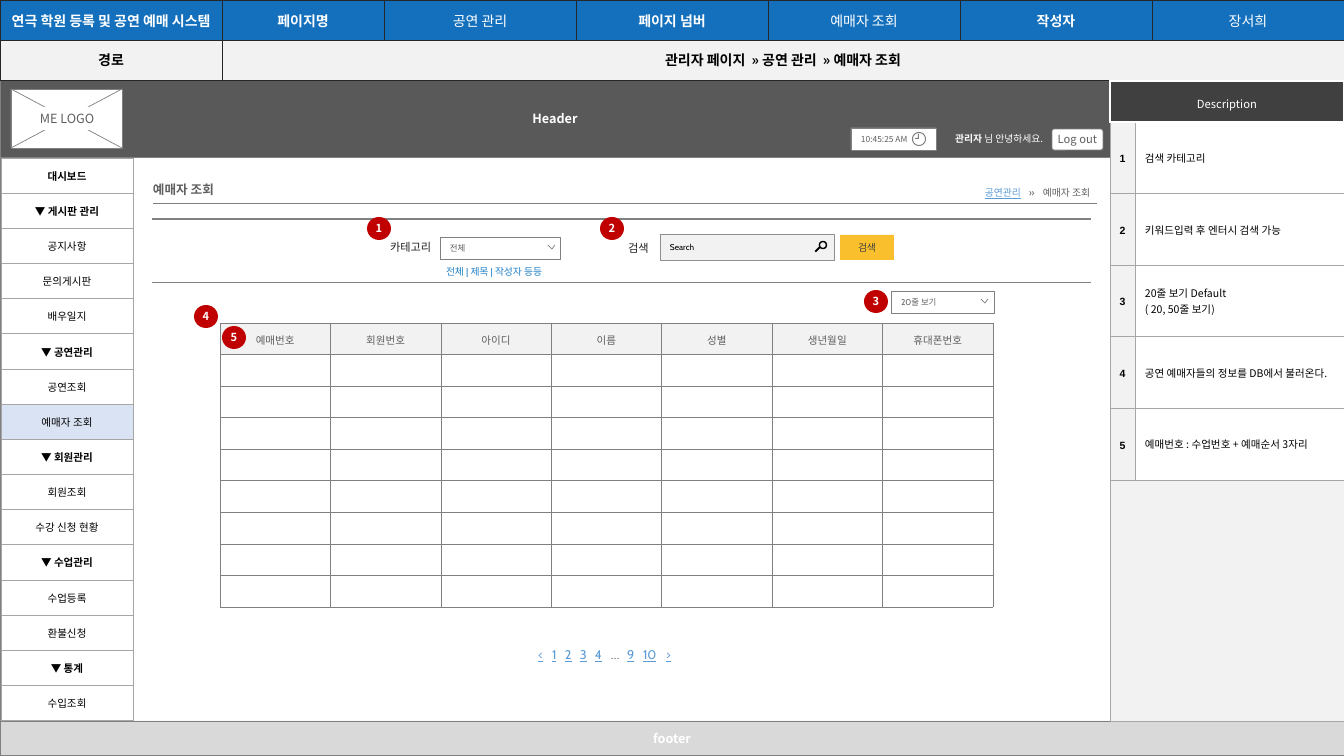
import math
import lxml.etree
import pptx
import pptx.dml.color
import pptx.enum.shapes
import pptx.enum.text
import pptx.oxml.ns
import pptx.util

PX = 914400 / 100.8
RGB = pptx.dml.color.RGBColor
WHITE, BLACK, PALE = RGB(255, 255, 255), RGB(0, 0, 0), RGB(0xF2, 0xF2, 0xF2)
GRAY, TEXT, EDGE = RGB(0x80, 0x80, 0x80), RGB(0x5F, 0x5F, 0x5F), RGB(0xA6, 0xA6, 0xA6)
DARK, COAL, INK = RGB(0x59, 0x59, 0x59), RGB(0x40, 0x40, 0x40), RGB(0x26, 0x26, 0x26)
BLUE, LINK, SKY = RGB(0x14, 0x70, 0xBC), RGB(0x5B, 0x9B, 0xD5), RGB(0, 0x70, 0xC0)
FOOT, FIELD, GOLD = RGB(0xD9, 0xD9, 0xD9), RGB(0x8F, 0x8F, 0x8F), RGB(0xF9, 0xBF, 0x2C)
RED, ACTIVE = RGB(0xC0, 0, 0), RGB(0xDA, 0xE3, 0xF3)
NOTO, CABIN = "Noto Sans CJK KR", "Cabin"
KIND = pptx.enum.shapes.MSO_SHAPE
ALIGN = pptx.enum.text.PP_ALIGN
LEFT, MID, RIGHT = ALIGN.LEFT, ALIGN.CENTER, ALIGN.RIGHT
ANCHOR = pptx.enum.text.MSO_ANCHOR
qn = pptx.oxml.ns.qn
Pt = pptx.util.Pt

deck = pptx.Presentation()
deck.slide_width, deck.slide_height = round(1344 * PX), round(756 * PX)
slide = deck.slides.add_slide(deck.slide_layouts[6])
shapes = slide.shapes


def write(para, text, size, tone, bold=False, face=NOTO, under=False):
    run = para.add_run()
    run.text = text
    font = run.font
    font.size, font.bold, font.underline, font.name = Pt(size), bold, under, face
    font.color.rgb = tone
    lxml.etree.SubElement(run._r.rPr, qn("a:ea"), typeface=NOTO)
    return run


def box(kind, x, y, w, h, fill=None, line=None, width=0.5, pad=(10, 5, 10, 5),
        align=MID, wrap=True, grow=False):
    area = [round(n * PX) for n in (x, y, w, h)]
    if kind is None:
        shape = shapes.add_textbox(*area)
    else:
        shape = shapes.add_shape(kind, *area)
        shape.shadow.inherit = False
        if fill is None:
            shape.fill.background()
        else:
            shape.fill.solid()
            shape.fill.fore_color.rgb = fill
        if line is None:
            shape.line.fill.background()
        else:
            shape.line.color.rgb, shape.line.width = line, Pt(width)
    frame = shape.text_frame
    frame.vertical_anchor = ANCHOR.TOP if kind is None else ANCHOR.MIDDLE
    frame.margin_left, frame.margin_top, frame.margin_right, frame.margin_bottom = [
        round(n * PX) for n in pad]
    frame.word_wrap = wrap
    if grow:
        frame.auto_size = pptx.enum.text.MSO_AUTO_SIZE.SHAPE_TO_FIT_TEXT
    frame.paragraphs[0].alignment = align
    return shape, frame.paragraphs[0]


# Header band and greeting
write(box(KIND.RECTANGLE, 0, 80, 1110, 77, DARK, GRAY, 0.25)[1], "Header", 9, WHITE, True)
hello = box(None, 942, 128, 111, 22, align=RIGHT, wrap=False, grow=True)[1]
write(hello, "관리자 ", 7, WHITE, True)
write(hello, "님 안녕하세요.", 7, WHITE)
exit_box, label = box(KIND.ROUNDED_RECTANGLE, 1052, 129, 51, 21, WHITE, GRAY,
                      pad=(5, 3, 5, 3), align=LEFT, wrap=False, grow=True)
exit_box.adjustments[0] = 0.11
write(label, "Log out", 8, TEXT)

# Logo frame, then its diagonals and the page rules
box(KIND.RECTANGLE, 11, 89, 111, 59, WHITE, GRAY)
for x1, y1, x2, y2, width in [
        (11, 148, 122, 89, 0.5), (122, 148, 11, 89, 0.5), (153, 203, 1097, 203, 0.5),
        (152, 219, 1091, 219, 1.5), (152, 282, 1091, 282, 0.5)]:
    rule = shapes.add_connector(pptx.enum.shapes.MSO_CONNECTOR.STRAIGHT,
                                *[round(n * PX) for n in (x1, y1, x2, y2)])
    rule.line.color.rgb, rule.line.width = GRAY, Pt(width)
    lxml.etree.SubElement(rule._element.spPr, qn("a:effectLst"))
write(box(KIND.RECTANGLE, 31, 107, 72, 23, WHITE, pad=(8, 4, 8, 4), wrap=False,
          grow=True)[1], "ME LOGO", 9, TEXT)

# Sidebar frame, title and footer
box(KIND.RECTANGLE, 0, 157, 132, 599, line=GRAY)
write(box(None, 153, 182, 68, 15, pad=(0, 0, 0, 0), align=LEFT, wrap=False,
          grow=True)[1], "예매자 조회", 9, TEXT, True, CABIN)
write(box(KIND.RECTANGLE, 0, 721, 1344, 34, FOOT, GRAY, 0.25)[1], "footer", 9, WHITE, True)

# Breadcrumb and pager, spaced by tab stops
crumbs = [("공연관리", True), ("»", False), ("예매자 조회", False)]
pages = [(t, t != "…") for t in ["<", "1", "2", "3", "4", "…", "9", "10", ">"]]
for x, y, w, h, size, stops, parts in [
        (977, 183, 140, 19, 7, [44, 58], crumbs),
        (530, 643, 178, 23, 9, [14, 27, 42, 57, 73, 89, 105, 128], pages)]:
    para = box(None, x, y, w, h, pad=(8, 4, 8, 4), align=LEFT)[1]
    tabs = lxml.etree.SubElement(para._p.get_or_add_pPr(), qn("a:tabLst"))
    for stop in stops:
        lxml.etree.SubElement(tabs, qn("a:tab"), pos=str(round(stop * PX)), algn="l")
    for i, (text, link) in enumerate(parts):
        if i:
            write(para, "\t", size, TEXT, face=CABIN)
        write(para, text, size, LINK if link else TEXT, face=CABIN, under=link)

# Search bar labels
for x, y, w, h, text, size, tone in [
        (382, 236, 61, 22, "카테고리", 8, BLACK), (620, 237, 39, 22, "검색", 8, BLACK),
        (438, 262, 126, 20, "전체 | 제목 | 작성자 등등", 7, SKY)]:
    run = write(box(None, x, y, w, h, pad=(8, 4, 8, 4), align=LEFT, wrap=False,
                    grow=True)[1], text, size, tone, face=CABIN)
    lxml.etree.SubElement(run._r.rPr.find(".//" + qn("a:srgbClr")), qn("a:alpha"), val="87000")

# Fields: clock, two drop-downs, search
for x, y, w, h, text, fill, line, width, tone, face, pad, grow in [
        (851, 128, 85, 22, "10:45:25 AM", WHITE, GRAY, 0.5, TEXT, NOTO, (10, 6, 25, 6), True),
        (440, 237, 120, 22, "전체", WHITE, GRAY, 0.5, TEXT, CABIN, (10, 6, 28, 6), True),
        (891, 291, 103, 22, "20줄 보기", WHITE, GRAY, 0.5, TEXT, CABIN, (10, 6, 28, 6), True),
        (660, 234, 174, 26, "Search", PALE, FIELD, 0.25, BLACK, CABIN, (10, 5, 25, 5), False)]:
    write(box(KIND.RECTANGLE, x, y, w, h, fill, line, width, pad, LEFT, grow=grow)[1],
          text, 6, tone, face=face)
write(box(KIND.RECTANGLE, 840, 235, 54, 25, GOLD, wrap=False)[1], "검색", 7, COAL, face=CABIN)

# Icons: clock face, magnifier, drop-down arrows
ring = [(math.cos(math.pi * i / 18), math.sin(math.pi * i / 18)) for i in range(36)]
face, hole = [[(919 + r * a, 139 + r * b) for a, b in ring] for r in (7, 6)]
lens, glass = [[(823 + r * a, 245 + r * b) for a, b in ring] for r in (4, 3)]
hands = [(918, 134), (918, 138), (915, 138), (915, 139), (919, 139), (919, 134)]
grip = [(815, 251), (819, 247), (820, 248), (816, 252)]
for loops, shut, fill, line, width in [
        ([face, hole[::-1], hands], True, GRAY, None, 0),
        ([lens, glass[::-1], grip], True, BLACK, BLACK, 0.25),
        ([[(548, 245), (552, 249), (555, 245)]], False, WHITE, GRAY, 0.5),
        ([[(981, 299), (985, 303), (988, 299)]], False, WHITE, GRAY, 0.5)]:
    loops = [[(a * PX, b * PX) for a, b in loop] for loop in loops]
    pen = shapes.build_freeform(*loops[0][0])
    for i, loop in enumerate(loops):
        if i:
            pen.move_to(*loop[0])
        pen.add_line_segments(loop[1:], close=shut)
    icon = pen.convert_to_shape()
    icon.shadow.inherit = False
    icon.fill.solid()
    icon.fill.fore_color.rgb = fill
    if line is None:
        icon.line.fill.background()
    else:
        icon.line.color.rgb, icon.line.width = line, Pt(width)

# Tables: each cell is (text, fill, tone, bold, face, align, side pad, spacing)
top = [[(t, BLUE, WHITE, i in (0, 1, 3, 5), NOTO, MID, 9, 1) for i, t in enumerate(
    ["연극 학원 등록 및 공연 예매 시스템", "페이지명", "공연 관리", "페이지 넘버",
     "예매자 조회", "작성자", "장서희"])],
    [(t, PALE, BLACK, True, NOTO, MID, 9, 1) for t in
     ["경로", "관리자 페이지  » 공연 관리  » 예매자 조회"] + [""] * 5]]
notes = [[(str(i) if t else "", PALE, BLACK, True, "Arial", MID, 0, 1.2),
          (t, WHITE if t else PALE, BLACK, False, NOTO, LEFT, 10, 1)] for i, t in enumerate(
    ["검색 카테고리", "키워드입력 후 엔터시 검색 가능", "20줄 보기 Default\n( 20, 50줄 보기)",
     "공연 예매자들의 정보를 DB에서 불러온다.", "예매번호 : 수업번호 + 예매순서 3자리", ""], 1)]
heads = ["예매번호", "회원번호", "아이디", "이름", "성별", "생년월일", "휴대폰번호"]
guests = [[(t, fill, TEXT, False, CABIN, MID, 9, 1) for t in row]
          for row, fill in [(heads, PALE)] + [([""] * 7, WHITE)] * 8]
menu = [[(t, ACTIVE if t == "예매자 조회" else WHITE, BLACK, t[0] == "▼" or t == "대시보드",
          NOTO, MID, 10, 1)] for t in
        ["대시보드", "▼ 게시판 관리", "공지사항", "문의게시판", "배우일지", "▼ 공연관리",
         "공연조회", "예매자 조회", "▼ 회원관리", "회원조회", "수강 신청 현황", "▼ 수업관리",
         "수업등록", "환불신청", "▼ 통계", "수입조회"]]
about = [[("Description", COAL, WHITE, False, NOTO, MID, 0, 1.2)]]
for x, y, wide, high, rows, size, edge, pad, span in [
        (1110, 122, [25, 209], [358 / 5] * 5 + [241], notes, 7.5, EDGE, 5, (5, 0, 5, 1)),
        (0, 0, [222, 162] + [192] * 5, [40] * 2, top, 10, INK, 4, (1, 1, 1, 6)),
        (1110, 81, [234], [41], about, 8, None, 5, None),
        (220, 323, [773 / 7] * 7, [284 / 9] * 9, guests, 7.5, GRAY, 9, None),
        (1, 158, [132], [563 / 16] * 16, menu, 7.5, EDGE, 5, None)]:
    table = shapes.add_table(len(high), len(wide), *[
        round(n * PX) for n in (x, y, sum(wide), sum(high))]).table
    table.first_row = table.horz_banding = False
    for col, n in zip(table.columns, wide):
        col.width = round(n * PX)
    for row, n, cells in zip(table.rows, high, rows):
        row.height = round(n * PX)
        for cell, (text, fill, tone, bold, face, align, side, gap) in zip(row.cells, cells):
            cell.margin_left = cell.margin_right = round(side * PX)
            cell.margin_top = cell.margin_bottom = round(pad * PX)
            cell.vertical_anchor = ANCHOR.MIDDLE
            for tag in ("lnL", "lnR", "lnT", "lnB") if edge else ():
                ln = lxml.etree.SubElement(cell._tc.get_or_add_tcPr(), qn("a:" + tag), w="6350")
                paint = lxml.etree.SubElement(ln, qn("a:solidFill"))
                lxml.etree.SubElement(paint, qn("a:srgbClr"), val=str(edge))
            cell.fill.solid()
            cell.fill.fore_color.rgb = fill
            for i, part in enumerate(text.split("\n")):
                para = cell.text_frame.add_paragraph() if i else cell.text_frame.paragraphs[0]
                para.alignment, para.line_spacing = align, float(gap)
                if part:
                    write(para, part, size, tone, bold, face)
                else:
                    lxml.etree.SubElement(para._p, qn("a:endParaRPr"), sz="600")
    if span:
        table.cell(*span[:2]).merge(table.cell(*span[2:]))

# Numbered markers
for num, x, y in [("4", 194, 305), ("1", 367, 217), ("2", 600, 217), ("5", 222, 326),
                  ("3", 864, 290)]:
    write(box(KIND.OVAL, x, y, 24, 23, RED, pad=(0, 0, 0, 0))[1], num, 7.9, WHITE, True)

deck.save("out.pptx")
